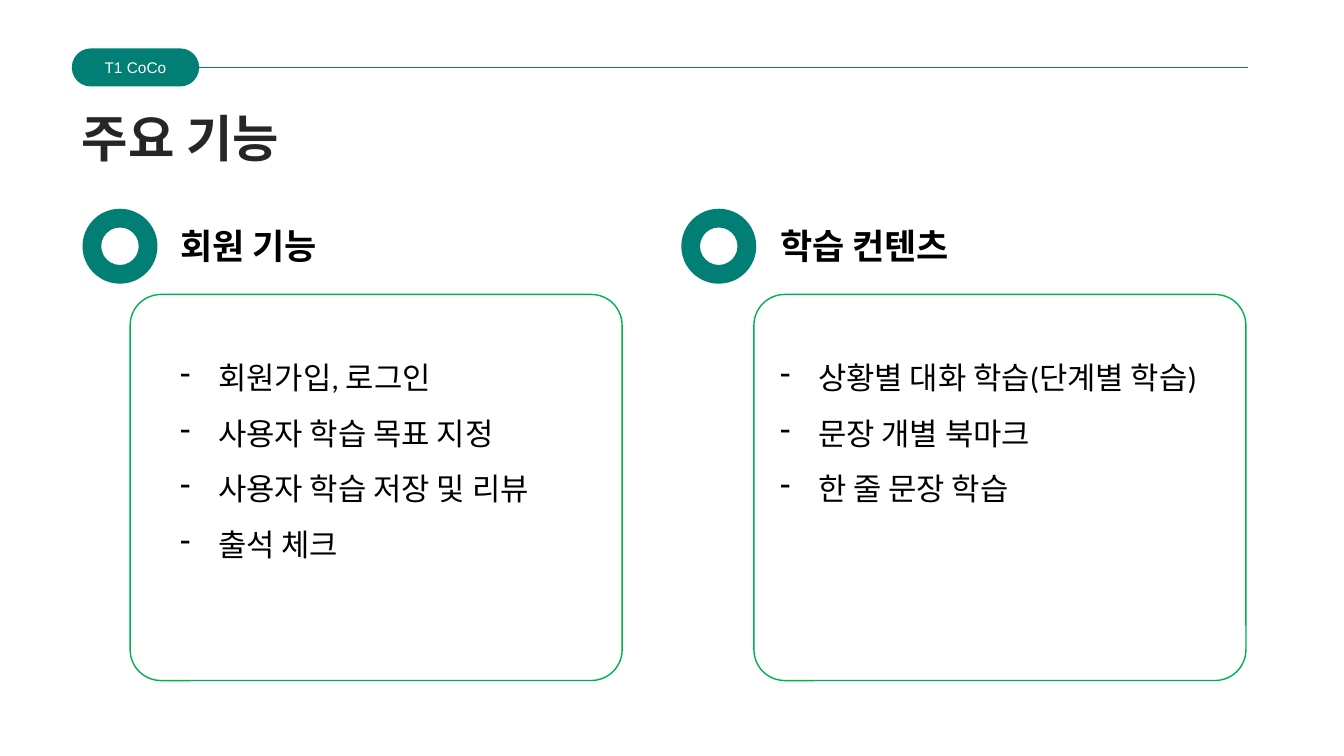
from dataclasses import dataclass

from lxml.etree import SubElement
from pptx import Presentation
from pptx.dml.color import RGBColor
from pptx.enum.shapes import MSO_CONNECTOR as Link, MSO_SHAPE as Kind
from pptx.enum.text import MSO_ANCHOR as Anchor, MSO_AUTO_SIZE as Fit, PP_ALIGN as Align
from pptx.oxml.ns import qn
from pptx.shapes.autoshape import Shape
from pptx.slide import Slide
from pptx.text.text import TextFrame
from pptx.util import Cm, Pt

TEAL, GREEN, WHITE, BLACK, DARK = "027F74", "00B050", "FFFFFF", "000000", "262626"


@dataclass
class Panel:
    head: str
    items: list[str]
    ring: float
    left: float
    box: float
    head_w: float
    list_w: float
    list_h: float


PANELS = [
    Panel("회원 기능",
          ["회원가입, 로그인", "사용자 학습 목표 지정", "사용자 학습 저장 및 리뷰", "출석 체크"],
          2.08, 4.29, 3.28, 5.31, 10.41, 7.16),
    Panel("학습 컨텐츠",
          ["상황별 대화 학습(단계별 학습)", "문장 개별 북마크", "한 줄 문장 학습"],
          17.17, 19.41, 19.0, 7.21, 12.88, 5.77),
]


def color(code: str) -> RGBColor:
    return RGBColor.from_string(code)


def write(frame: TextFrame, lines: list[str], size: float, face: str, ink: str,
          bold: bool = False, dash: bool = False) -> None:
    """Fill a frame with one paragraph per line, dashed if asked."""
    for i, line in enumerate(lines):
        para = frame.add_paragraph() if i else frame.paragraphs[0]
        para.text = line
        if dash:
            props = para._p.get_or_add_pPr()
            props.set("marL", str(Cm(0.96)))
            props.set("indent", str(-Cm(0.96)))
            SubElement(props, qn("a:buFontTx"))
            SubElement(props, qn("a:buChar"), char="-")
            para.line_spacing = 1.5
        font = para.font
        font.size, font.name, font.bold = Pt(size), face, bold
        font.color.rgb = color(ink)


def add_shape(slide: Slide, kind: Kind, x: float, y: float, w: float, h: float,
              fill: str = "", line: str = "") -> Shape:
    shape = slide.shapes.add_shape(kind, Cm(x), Cm(y), Cm(w), Cm(h))
    shape.shadow.inherit = False
    if fill:
        shape.fill.solid()
        shape.fill.fore_color.rgb = color(fill)
    else:
        shape.fill.background()
    if line:
        shape.line.color.rgb = color(line)
        shape.line.width = Pt(1)
    else:
        shape.line.fill.background()
    return shape


def add_text(slide: Slide, x: float, y: float, w: float, h: float) -> TextFrame:
    frame = slide.shapes.add_textbox(Cm(x), Cm(y), Cm(w), Cm(h)).text_frame
    frame.word_wrap = True
    frame.auto_size = Fit.SHAPE_TO_FIT_TEXT
    return frame


def add_top(slide: Slide) -> None:
    """Draw the tag, its rule and the title."""
    tag = add_shape(slide, Kind.ROUNDED_RECTANGLE, 1.81, 1.22, 3.21, 0.96, TEAL)
    tag.adjustments[0] = 0.5
    tag.text_frame.vertical_anchor = Anchor.MIDDLE
    write(tag.text_frame, ["T1 CoCo"], 11, "Arial", WHITE)
    tag.text_frame.paragraphs[0].alignment = Align.CENTER

    rule = slide.shapes.add_connector(Link.STRAIGHT, Cm(5.02), Cm(1.7), Cm(31.45), Cm(1.7))
    rule.begin_connect(tag, 3)
    rule.line.color.rgb = color(TEAL)
    rule.line.width = Pt(0.5)
    SubElement(rule._element.spPr, qn("a:effectLst"))

    title = slide.shapes.title
    title.left, title.top, title.width, title.height = Cm(1.81), Cm(2.56), Cm(5.94), Cm(1.8)
    frame = title.text_frame
    frame.word_wrap = False
    frame.auto_size = Fit.SHAPE_TO_FIT_TEXT
    frame.vertical_anchor = Anchor.TOP
    write(frame, ["주요 기능"], 36, "Calibri", DARK, bold=True)
    frame.paragraphs[0].alignment = Align.LEFT


def add_panel(slide: Slide, panel: Panel) -> None:
    head = add_text(slide, panel.left, 5.54, panel.head_w, 1.32)
    write(head, [panel.head], 25, "Arial", BLACK, bold=True)
    add_shape(slide, Kind.DONUT, panel.ring, 5.26, 1.89, 1.89, TEAL)
    body = add_text(slide, panel.left, 8.46, panel.list_w, panel.list_h)
    write(body, panel.items, 22, "Calibri", BLACK, dash=True)
    box = add_shape(slide, Kind.ROUNDED_RECTANGLE, panel.box, 7.42, 12.4, 9.73, line=GREEN)
    box.adjustments[0] = 0.08


def main() -> None:
    deck = Presentation()
    deck.slide_width, deck.slide_height = Cm(33.87), Cm(19.05)
    slide = deck.slides.add_slide(deck.slide_layouts[5])
    add_top(slide)
    for panel in PANELS:
        add_panel(slide, panel)
    deck.save("out.pptx")


if __name__ == "__main__":
    main()
